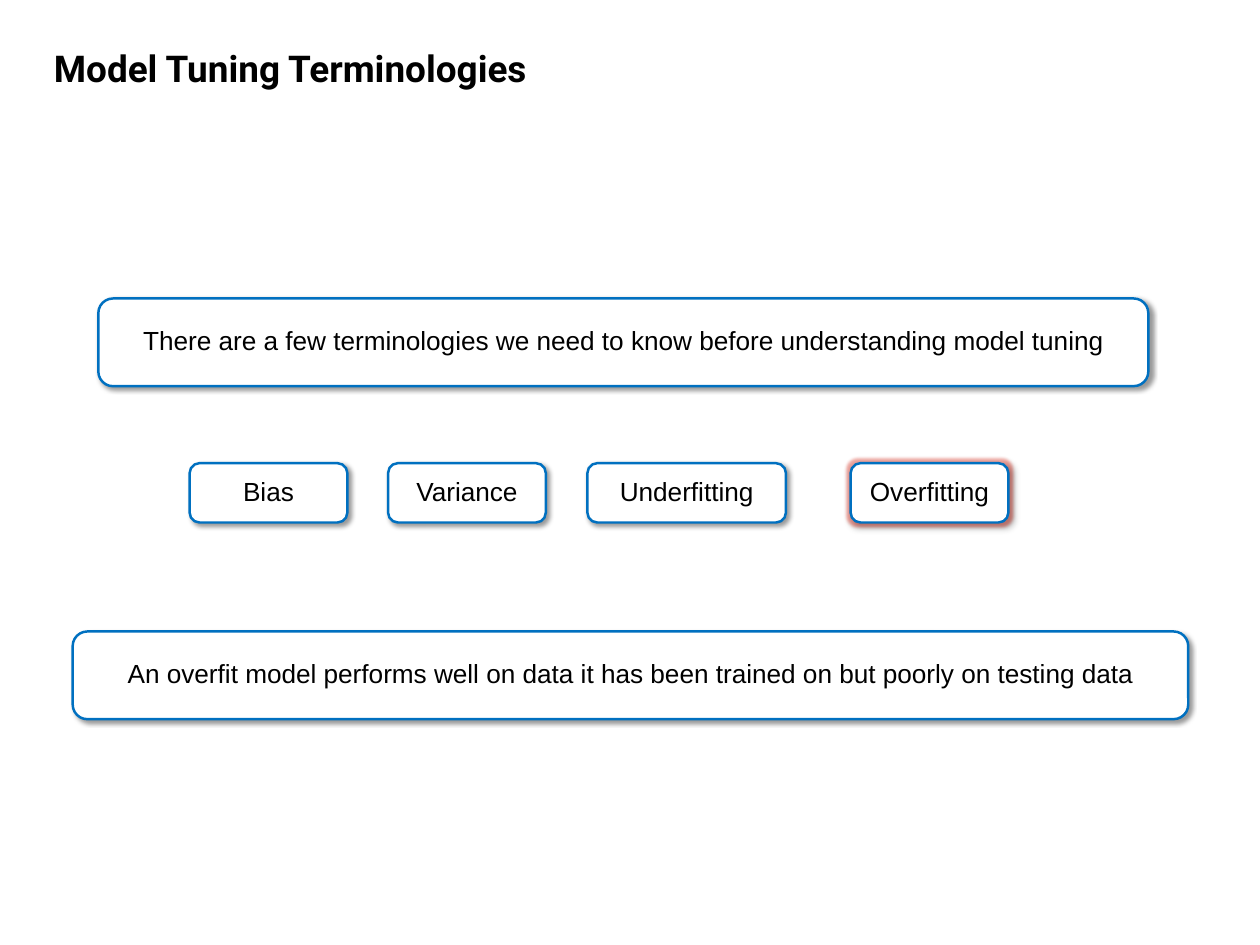
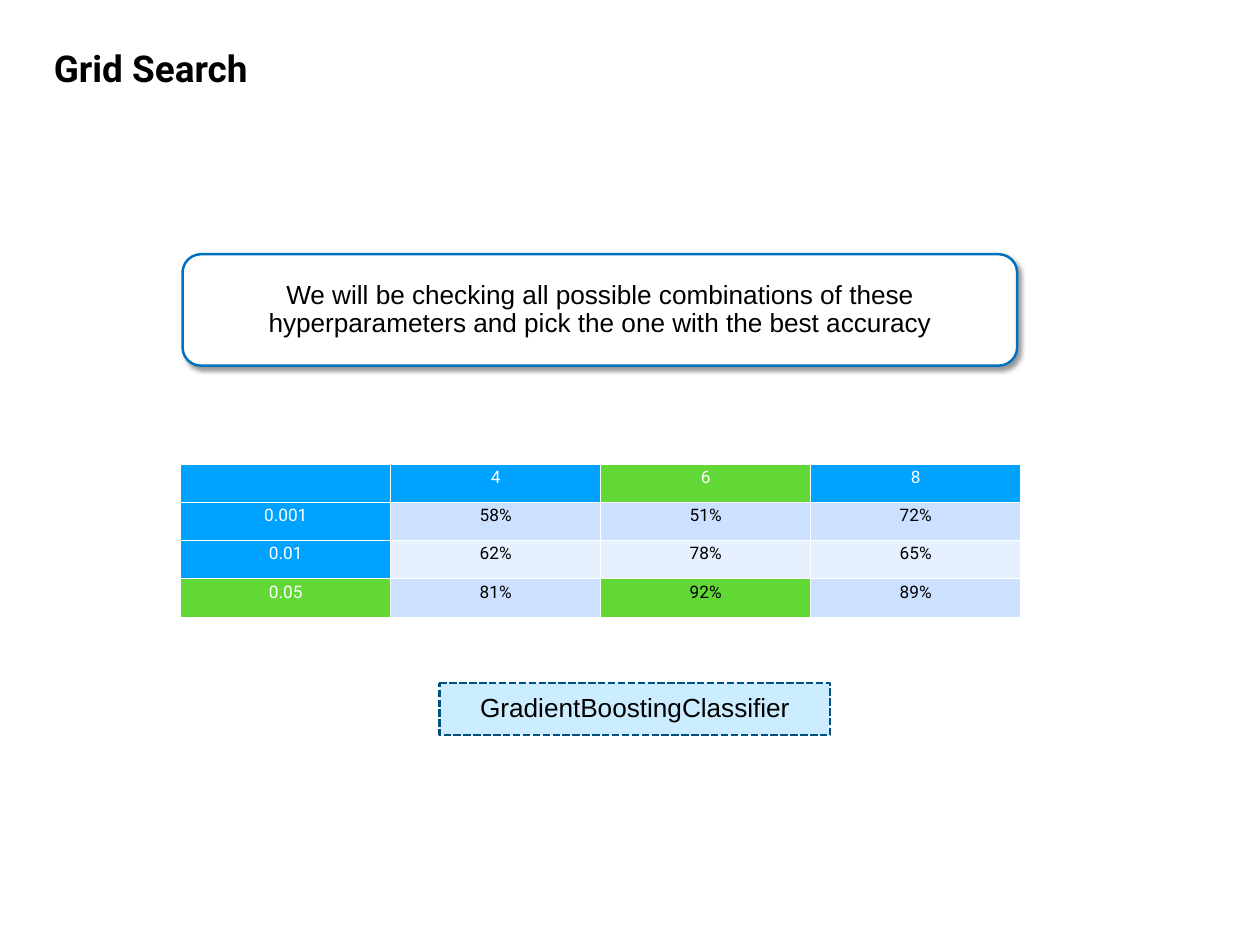
from dataclasses import dataclass

from lxml.etree import SubElement
from pptx import Presentation
from pptx.dml.color import RGBColor
from pptx.enum.dml import MSO_LINE
from pptx.enum.shapes import MSO_SHAPE
from pptx.enum.text import MSO_ANCHOR, MSO_AUTO_SIZE, PP_ALIGN
from pptx.oxml.ns import qn
from pptx.shapes.autoshape import Shape
from pptx.slide import Slide
from pptx.table import _Cell as Cell
from pptx.text.text import TextFrame
from pptx.util import Inches, Pt


@dataclass(frozen=True)
class Theme:
    black: str = "000000"
    white: str = "FFFFFF"
    blue: str = "0070C0"
    navy: str = "005180"
    pale: str = "CCECFF"
    head: str = "00A2FF"
    best: str = "61D836"
    bands: tuple[str, str] = ("CCE0FF", "E7F0FF")
    glow: str = "E03020"
    sans: str = "Arial"
    display: str = "Roboto"
    title: float = 30
    body: float = 21.3
    cell: float = 14
    edge: float = 2


@dataclass(frozen=True)
class Box:
    text: str
    left: float
    top: float
    width: float
    height: float
    glow: bool = False
    tag: bool = False


THEME = Theme()

TERMS = [
    Box("There are a few terminologies we need to know before understanding model tuning",
        1.11, 3.37, 11.85, 0.99),
    Box("Bias", 2.14, 5.23, 1.78, 0.67),
    Box("Variance", 4.38, 5.23, 1.78, 0.67),
    Box("Underfitting", 6.63, 5.23, 2.24, 0.67),
    Box("Overfitting", 9.6, 5.23, 1.78, 0.67, glow=True),
    Box("An overfit model performs well on data it has been trained on but poorly on testing data",
        0.82, 7.13, 12.59, 0.99),
]
SEARCH = [
    Box("We will be checking all possible combinations of these hyperparameters "
        "and pick the one with the best accuracy", 2.06, 2.87, 9.42, 1.26),
    Box("GradientBoostingClassifier", 4.96, 7.71, 4.41, 0.59, tag=True),
]
SCORES = [
    ["", "4", "6", "8"],
    ["0.001", "58%", "51%", "72%"],
    ["0.01", "62%", "78%", "65%"],
    ["0.05", "81%", "92%", "89%"],
]
BEST = {(0, 2), (3, 0), (3, 2)}


def rgb(code: str) -> RGBColor:
    return RGBColor.from_string(code)


def write(frame: TextFrame, text: str, size: float, font: str, color: str,
          align: PP_ALIGN = PP_ALIGN.CENTER, bold: bool = False) -> None:
    frame.word_wrap = True
    para = frame.paragraphs[0]
    para.text = text
    para.alignment = align
    para.line_spacing = 0.9
    para.space_before = Pt(32)
    para.font.size = Pt(size)
    for run in para.runs:
        run.font.size = Pt(size)
        run.font.name = font
        run.font.bold = bold
        run.font.color.rgb = rgb(color)


def add_title(slide: Slide, text: str) -> None:
    box = slide.shapes.add_textbox(Inches(0.51), Inches(0.52), Inches(7.34), Inches(0.56))
    write(box.text_frame, text, THEME.title, THEME.display, THEME.black, PP_ALIGN.LEFT, True)
    box.text_frame.auto_size = MSO_AUTO_SIZE.SHAPE_TO_FIT_TEXT


def add_effects(shape: Shape, glow: bool) -> None:
    """Give the shape a soft shadow and, if asked, a red glow beneath it."""
    effects = shape._element.spPr.find(qn("a:effectLst"))
    kinds = [("a:outerShdw", {"blurRad": str(Pt(4)), "dist": str(Pt(3)),
                              "dir": "2700000", "rotWithShape": "0"}, THEME.black)]
    if glow:
        kinds.insert(0, ("a:glow", {"rad": str(Pt(5))}, THEME.glow))
    for tag, attrs, code in kinds:
        effect = SubElement(effects, qn(tag), attrs)
        color = SubElement(effect, qn("a:srgbClr"), val=code)
        SubElement(color, qn("a:alpha"), val="40000")


def add_box(slide: Slide, box: Box) -> None:
    shape = slide.shapes.add_shape(
        MSO_SHAPE.ROUNDED_RECTANGLE, Inches(box.left), Inches(box.top),
        Inches(box.width), Inches(box.height))
    shape.shadow.inherit = False
    shape.fill.solid()
    shape.fill.fore_color.rgb = rgb(THEME.pale if box.tag else THEME.white)
    shape.line.color.rgb = rgb(THEME.navy if box.tag else THEME.blue)
    shape.line.width = Pt(THEME.edge)
    if box.tag:
        shape.adjustments[0] = 0
        shape.line.dash_style = MSO_LINE.SQUARE_DOT
    else:
        add_effects(shape, box.glow)
    shape.text_frame.vertical_anchor = MSO_ANCHOR.MIDDLE
    write(shape.text_frame, box.text, THEME.body, THEME.sans, THEME.black)


def add_rules(cell: Cell) -> None:
    """Draw a thin white border on all four sides of the cell."""
    props = cell._tc.get_or_add_tcPr()
    for side in ("a:lnL", "a:lnR", "a:lnT", "a:lnB"):
        line = SubElement(props, qn(side), w=str(Pt(1)))
        fill = SubElement(line, qn("a:solidFill"))
        SubElement(fill, qn("a:srgbClr"), val=THEME.white)


def add_scores(slide: Slide) -> None:
    rows, cols = len(SCORES), len(SCORES[0])
    table = slide.shapes.add_table(
        rows, cols, Inches(2.04), Inches(5.24), Inches(9.48), Inches(1.73)).table
    table.first_row = table.horz_banding = False
    for row, line in enumerate(SCORES):
        for col, text in enumerate(line):
            cell = table.cell(row, col)
            head = row == 0 or col == 0
            fill = THEME.head if head else THEME.bands[(row - 1) % 2]
            cell.margin_left = cell.margin_right = Inches(0.11)
            cell.margin_top = cell.margin_bottom = Inches(0.05)
            add_rules(cell)
            cell.fill.solid()
            cell.fill.fore_color.rgb = rgb(THEME.best if (row, col) in BEST else fill)
            write(cell.text_frame, text, THEME.cell, THEME.display,
                  THEME.white if head else THEME.black)


def main() -> None:
    deck = Presentation()
    deck.slide_width, deck.slide_height = Inches(14.22), Inches(10.67)
    pages = [("Model Tuning Terminologies", TERMS), ("Grid Search", SEARCH)]
    for title, boxes in pages:
        slide = deck.slides.add_slide(deck.slide_layouts[6])
        add_title(slide, title)
        for box in boxes:
            add_box(slide, box)
    add_scores(slide)
    deck.save("out.pptx")


if __name__ == "__main__":
    main()
